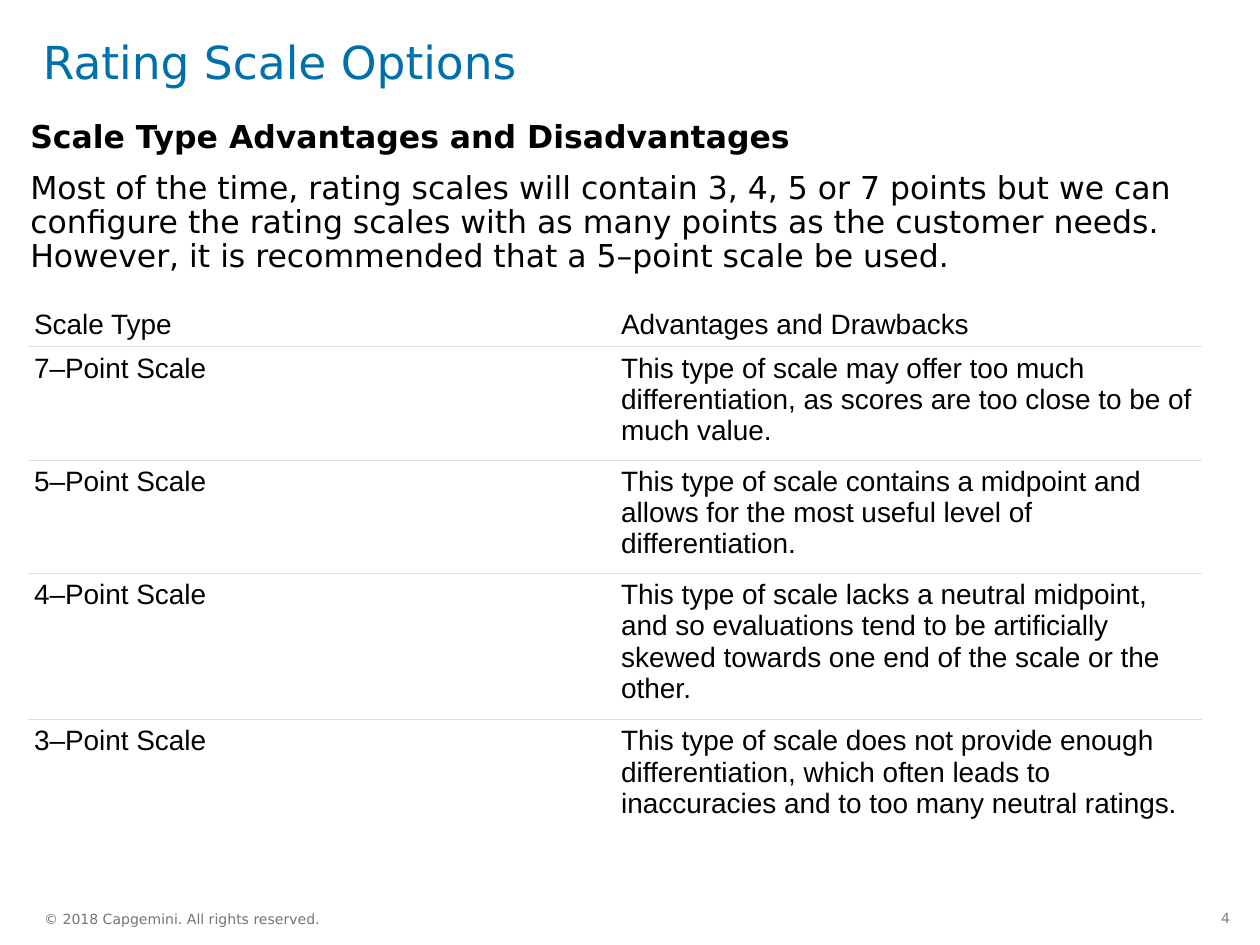
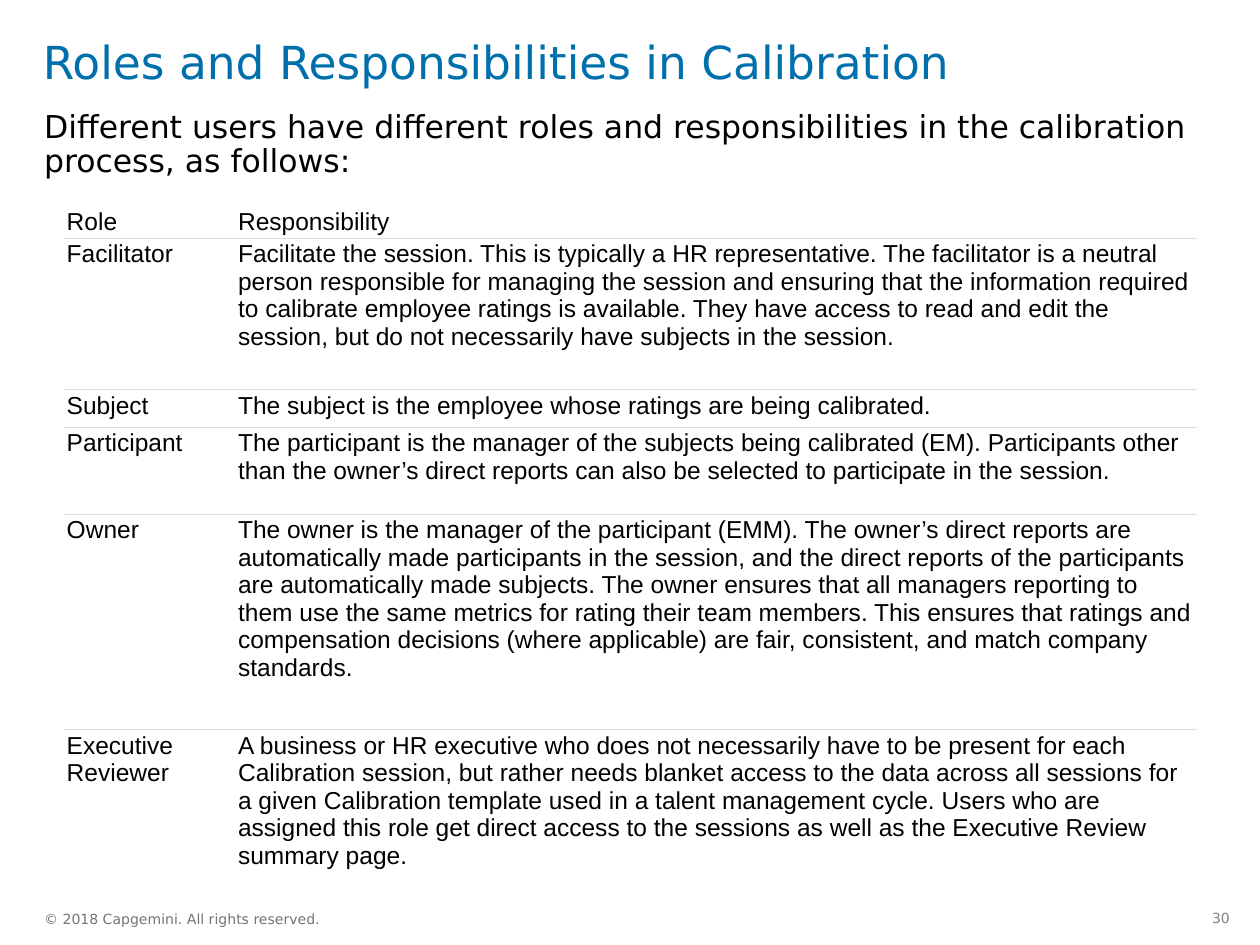
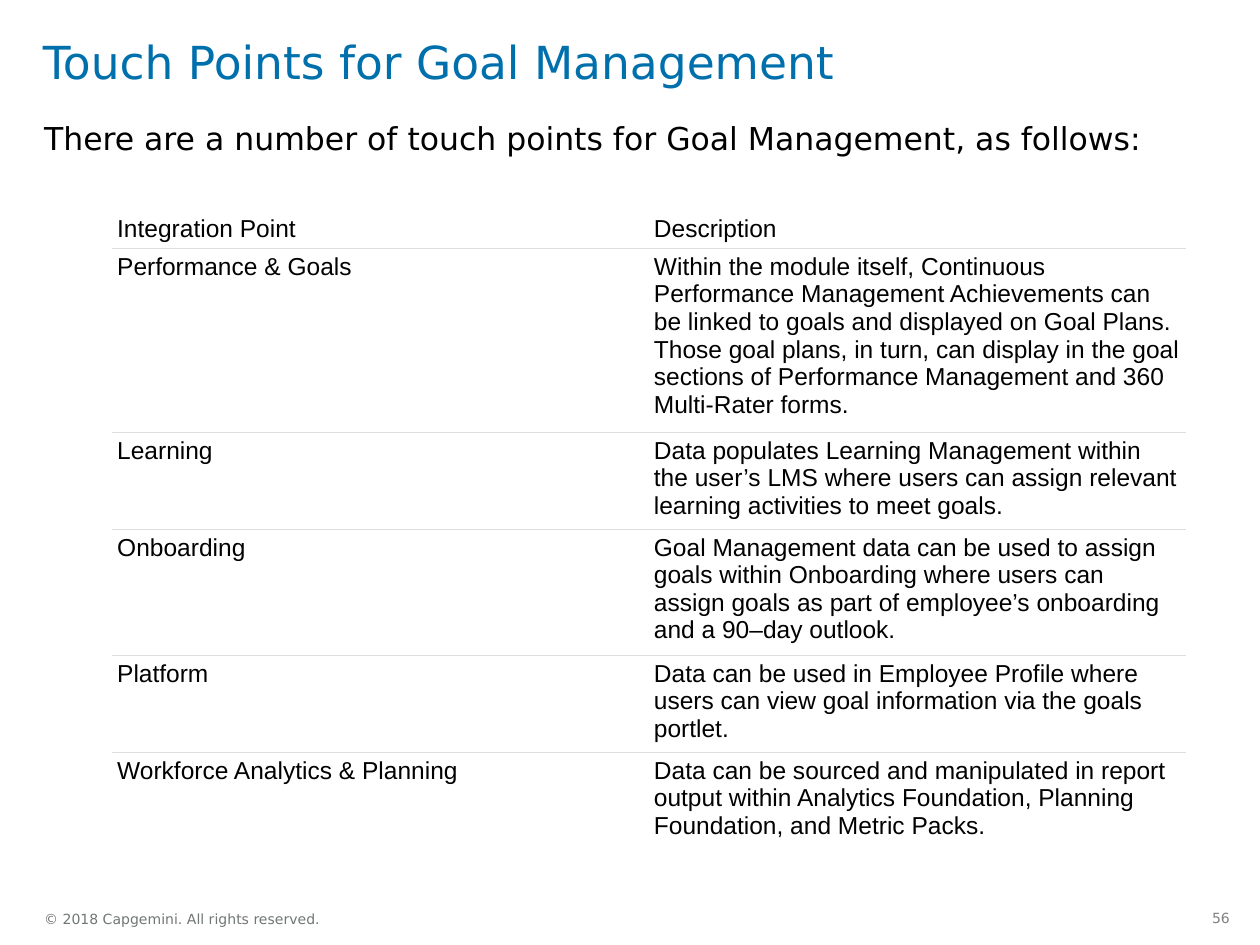
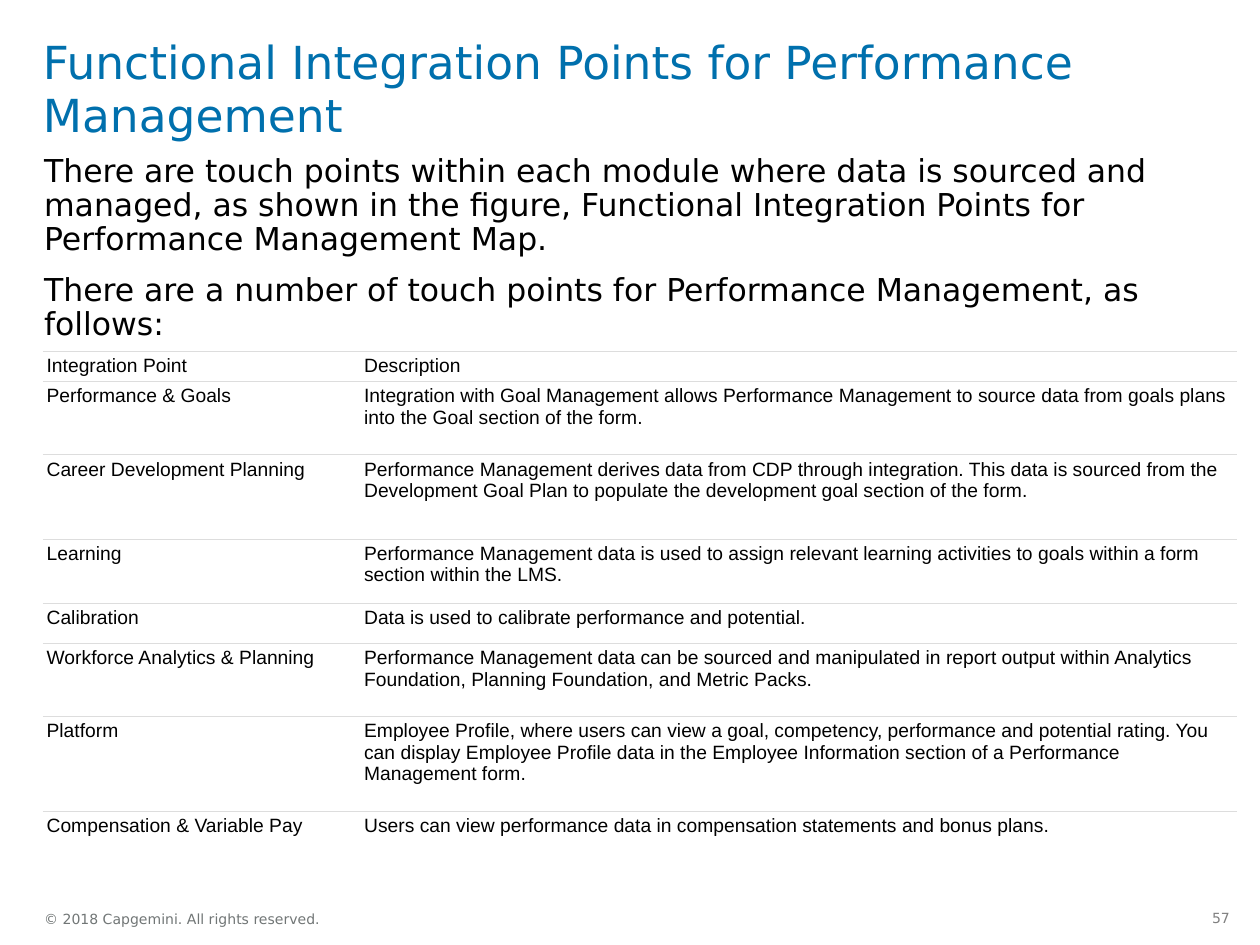
from lxml.etree import SubElement
from pptx import Presentation
from pptx.dml.color import RGBColor
from pptx.enum.text import MSO_ANCHOR, MSO_AUTO_SIZE, PP_ALIGN
from pptx.oxml import parse_xml
from pptx.oxml.ns import nsdecls, qn
from pptx.util import Inches, Pt

COLORS = {"title": "0070AD", "text": "000000", "rule": "DDDDDD",
          "cell": "FFFFFF", "copyright": "717676", "number": "808080"}
SANS, ARIAL = "DejaVu Sans", "Arial"
COPYRIGHT = "© 2018 Capgemini. All rights reserved."
PLAIN_TABLE = "{2D5ABB26-0587-4C30-8999-92F81FD0307C}"
RULE_PT = 0.5


def inches(*values):
    return [Inches(v) for v in values]


def set_all(target, values):
    for name, value in values.items():
        setattr(target, name, value)


class Deck:
    def __init__(self):
        self.prs = Presentation()
        self.prs.slide_width, self.prs.slide_height = inches(10, 7.5)
        self.slide = None

    def add_slide(self, title, number, title_size=(9.31, 0.94)):
        self.slide = self.prs.slides.add_slide(self.prs.slide_layouts[5])
        self.place_title(title, title_size)
        self.textbox((0.35, 7.17, 1.82, 0.24), [COPYRIGHT], 8, "copyright",
                     wrap=False, anchor=MSO_ANCHOR.MIDDLE)
        self.textbox((9.47, 7.17, 0.39, 0.24), [str(number)], 8, "number",
                     wrap=False, insets=(0.1, 0.05), align=PP_ALIGN.RIGHT)

    def frame(self, tf, insets=(0, 0), wrap=True, anchor=MSO_ANCHOR.TOP):
        x, y = inches(*insets)
        set_all(tf, {"margin_left": x, "margin_right": x,
                     "margin_top": y, "margin_bottom": y,
                     "word_wrap": wrap, "auto_size": MSO_AUTO_SIZE.NONE,
                     "vertical_anchor": anchor})

    def add_text(self, p, text, size, color="text", font=SANS, bold=False, **spacing):
        set_all(p, spacing)
        r = p.add_run()
        r.text = text
        set_all(r.font, {"name": font, "size": Pt(size), "bold": bold})
        r.font.color.rgb = RGBColor.from_string(COLORS[color])

    def place_title(self, text, size):
        sp = self.slide.shapes.title
        left, top, width, height = inches(0.34, 0.29, *size)
        set_all(sp, {"left": left, "top": top, "width": width, "height": height})
        self.frame(sp.text_frame)
        self.add_text(sp.text_frame.paragraphs[0], text, 26, "title",
                      alignment=PP_ALIGN.LEFT, line_spacing=Pt(30))

    def textbox(self, box, texts, size, color="text", gap=0, line=1.0,
                bold_first=False, align=PP_ALIGN.LEFT, **frame):
        tf = self.slide.shapes.add_textbox(*inches(*box)).text_frame
        self.frame(tf, **frame)
        for i, text in enumerate(texts):
            p = tf.paragraphs[0] if i == 0 else tf.add_paragraph()
            self.add_text(p, text, size, color, bold=bold_first and i == 0,
                          alignment=align, line_spacing=line,
                          space_before=Pt(gap if i else 0))

    def body(self, box, texts, **options):
        self.textbox(box, texts, 18, gap=10, line=0.9, **options)

    def table(self, corner, widths, heights, rows, size, inset,
              filled=True, header_anchor=MSO_ANCHOR.BOTTOM, top_rule=False):
        box = inches(*corner, sum(widths), sum(heights))
        tbl = self.slide.shapes.add_table(len(rows), len(widths), *box).table
        set_all(tbl, {"first_row": False, "horz_banding": False})
        tbl._tbl.tblPr.find(qn("a:tableStyleId")).text = PLAIN_TABLE
        for col, width in zip(tbl.columns, widths):
            col.width = Inches(width)
        for i, (row, height, texts) in enumerate(zip(tbl.rows, heights, rows)):
            row.height = Inches(height)
            for cell, text in zip(row.cells, texts):
                margin = Inches(inset)
                set_all(cell, {f"margin_{side}": margin
                               for side in ("left", "right", "top", "bottom")})
                cell.vertical_anchor = MSO_ANCHOR.TOP if i else header_anchor
                self.add_text(cell.text_frame.paragraphs[0], text, size, font=ARIAL)
                if filled:
                    cell.fill.solid()
                    cell.fill.fore_color.rgb = RGBColor.from_string(COLORS["cell"])
                else:
                    cell.fill.background()
                self.rules(cell, top=i > 0 or top_rule, bottom=i < len(rows) - 1)

    def rules(self, cell, top, bottom):
        """Draw the thin lines above and below a cell."""
        sides = [tag for tag, shown in (("lnT", top), ("lnB", bottom)) if shown]
        for place, tag in enumerate(sides):
            ln = parse_xml(f'<a:{tag} {nsdecls("a")} w="{Pt(RULE_PT)}"/>')
            fill = SubElement(ln, qn("a:solidFill"))
            SubElement(fill, qn("a:srgbClr"), val=COLORS["rule"])
            cell._tc.get_or_add_tcPr().insert(place, ln)


def rating_scales(deck):
    deck.add_slide("Rating Scale Options", 4)
    deck.body((0.24, 0.96, 9.29, 5.35), [
        "Scale Type Advantages and Disadvantages",
        "Most of the time, rating scales will contain 3, 4, 5 or 7 points but we can "
        "configure the rating scales with as many points as the customer needs. "
        "However, it is recommended that a 5–point scale be used.",
    ], bold_first=True)
    deck.table((0.22, 2.39), [4.66] * 2, [0.36, 0.9, 0.9, 1.16, 0.9], [
        ("Scale Type", "Advantages and Drawbacks"),
        ("7–Point Scale",
         "This type of scale may offer too much differentiation, as scores are too "
         "close to be of much value."),
        ("5–Point Scale",
         "This type of scale contains a midpoint and allows for the most useful level "
         "of differentiation."),
        ("4–Point Scale",
         "This type of scale lacks a neutral midpoint, and so evaluations tend to be "
         "artificially skewed towards one end of the scale or the other."),
        ("3–Point Scale",
         "This type of scale does not provide enough differentiation, which often "
         "leads to inaccuracies and to too many neutral ratings."),
    ], size=16, inset=0.05)


def calibration_roles(deck):
    deck.add_slide("Roles and Responsibilities in Calibration", 30, (7.93, 0.45))
    deck.body((0.35, 0.88, 9.29, 6.02), [
        "Different users have different roles and responsibilities in the calibration "
        "process, as follows:"])
    deck.table((0.51, 1.62), [1.36, 7.63], [0.27, 1.2, 0.3, 0.69, 1.71, 1.33], [
        ("Role", "Responsibility"),
        ("Facilitator",
         "Facilitate the session. This is typically a HR representative. The "
         "facilitator is a neutral person responsible for managing the session and "
         "ensuring that the information required to calibrate employee ratings is "
         "available. They have access to read and edit the session, but do not "
         "necessarily have subjects in the session."),
        ("Subject", "The subject is the employee whose ratings are being calibrated."),
        ("Participant",
         "The participant is the manager of the subjects being calibrated (EM). "
         "Participants other than the owner’s direct reports can also be selected to "
         "participate in the session."),
        ("Owner",
         "The owner is the manager of the participant (EMM). The owner’s direct "
         "reports are automatically made participants in the session, and the direct "
         "reports of the participants are automatically made subjects. The owner "
         "ensures that all managers reporting to them use the same metrics for rating "
         "their team members. This ensures that ratings and compensation decisions "
         "(where applicable) are fair, consistent, and match company standards."),
        ("Executive Reviewer",
         "A business or HR executive who does not necessarily have to be present for "
         "each Calibration session, but rather needs blanket access to the data across "
         "all sessions for a given Calibration template used in a talent management "
         "cycle. Users who are assigned this role get direct access to the sessions as "
         "well as the Executive Review summary page."),
    ], size=14, inset=0.02, filled=False)


def goal_touch_points(deck):
    deck.add_slide("Touch Points for Goal Management", 56)
    deck.body((0.35, 0.98, 9.29, 5.92), [
        "There are a number of touch points for Goal Management, as follows:"])
    deck.table((0.89, 1.66), [4.26] * 2, [0.31, 1.46, 0.77, 1, 0.77, 0.77], [
        ("Integration Point", "Description"),
        ("Performance & Goals",
         "Within the module itself, Continuous Performance Management Achievements can "
         "be linked to goals and displayed on Goal Plans. Those goal plans, in turn, "
         "can display in the goal sections of Performance Management and 360 "
         "Multi-Rater forms."),
        ("Learning",
         "Data populates Learning Management within the user’s LMS where users can "
         "assign relevant learning activities to meet goals."),
        ("Onboarding",
         "Goal Management data can be used to assign goals within Onboarding where "
         "users can assign goals as part of employee’s onboarding and a 90–day "
         "outlook."),
        ("Platform",
         "Data can be used in Employee Profile where users can view goal information "
         "via the goals portlet."),
        ("Workforce Analytics & Planning",
         "Data can be sourced and manipulated in report output within Analytics "
         "Foundation, Planning Foundation, and Metric Packs."),
    ], size=14, inset=0.04)


def performance_integration(deck):
    deck.add_slide("Functional Integration Points for Performance Management", 57)
    deck.body((0.35, 1.23, 9.29, 5.67), [
        "There are touch points within each module where data is sourced and managed, "
        "as shown in the figure, Functional Integration Points for Performance "
        "Management Map.",
        "There are a number of touch points for Performance Management, as follows:"])
    heights = [0.24, 0.58, 0.67, 0.51, 0.32, 0.58, 0.75, 0.41]
    deck.table((0.34, 2.79), [2.52, 6.96], heights, [
        ("Integration Point", "Description"),
        ("Performance & Goals",
         "Integration with Goal Management allows Performance Management to source "
         "data from goals plans into the Goal section of the form."),
        ("Career Development Planning",
         "Performance Management derives data from CDP through integration. This data "
         "is sourced from the Development Goal Plan to populate the development goal "
         "section of the form."),
        ("Learning",
         "Performance Management data is used to assign relevant learning activities "
         "to goals within a form section within the LMS."),
        ("Calibration", "Data is used to calibrate performance and potential."),
        ("Workforce Analytics & Planning",
         "Performance Management data can be sourced and manipulated in report output "
         "within Analytics Foundation, Planning Foundation, and Metric Packs."),
        ("Platform",
         "Employee Profile, where users can view a goal, competency, performance and "
         "potential rating. You can display Employee Profile data in the Employee "
         "Information section of a Performance Management form."),
        ("Compensation & Variable Pay",
         "Users can view performance data in compensation statements and bonus plans."),
    ], size=11, inset=0.03, header_anchor=MSO_ANCHOR.TOP, top_rule=True)


def main():
    deck = Deck()
    for build in (rating_scales, calibration_roles, goal_touch_points,
                  performance_integration):
        build(deck)
    deck.prs.save("out.pptx")


if __name__ == "__main__":
    main()
